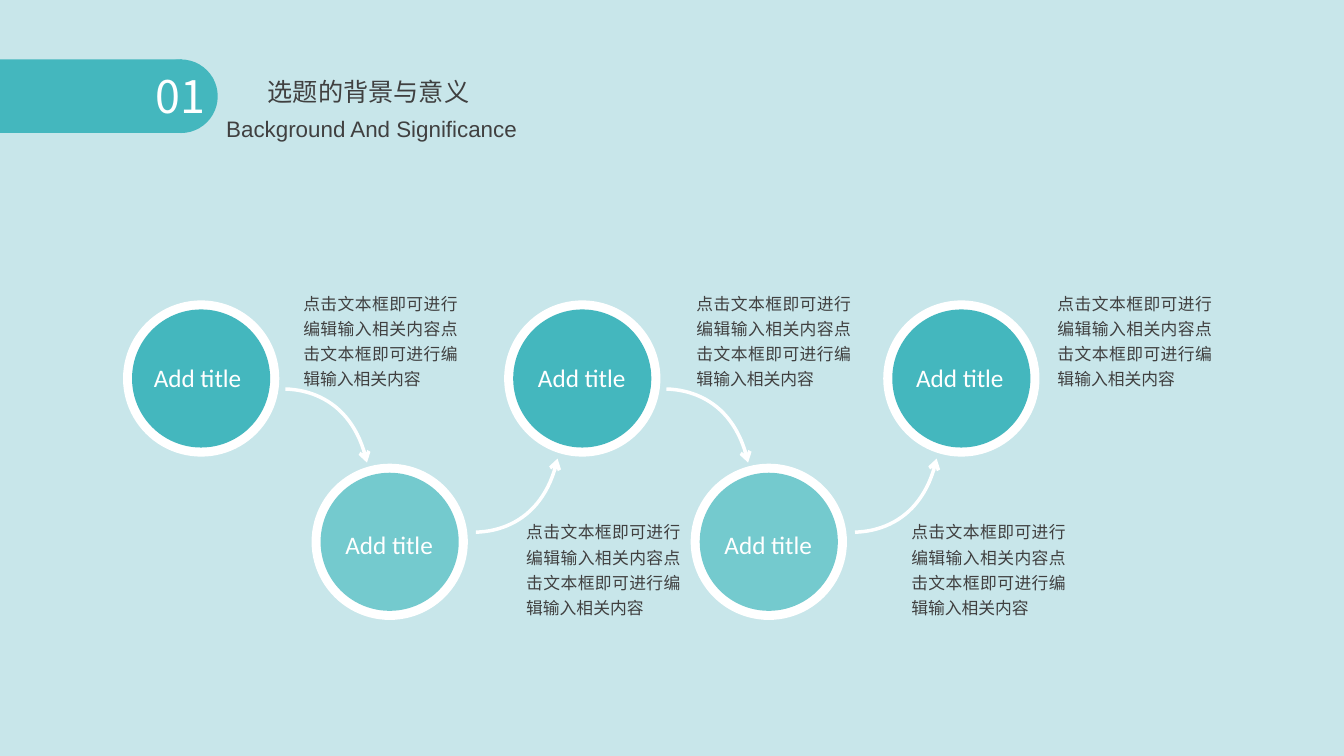
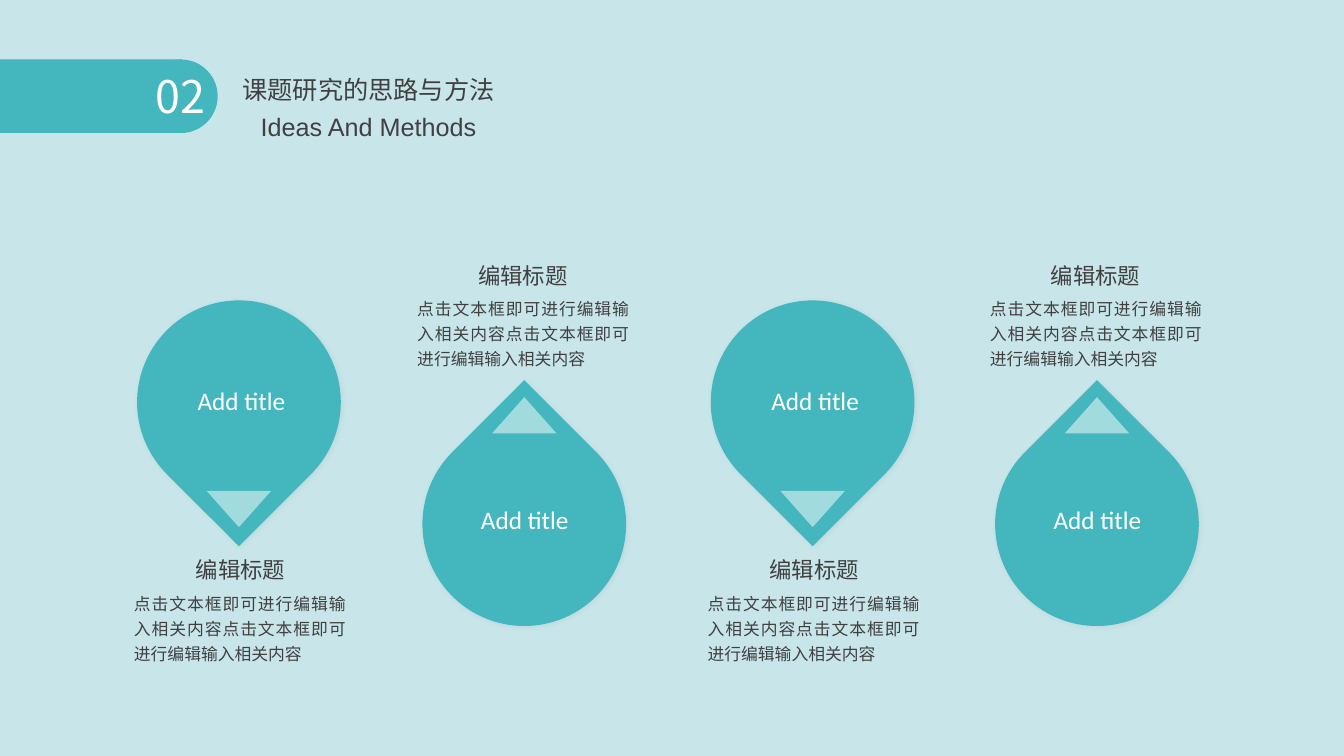
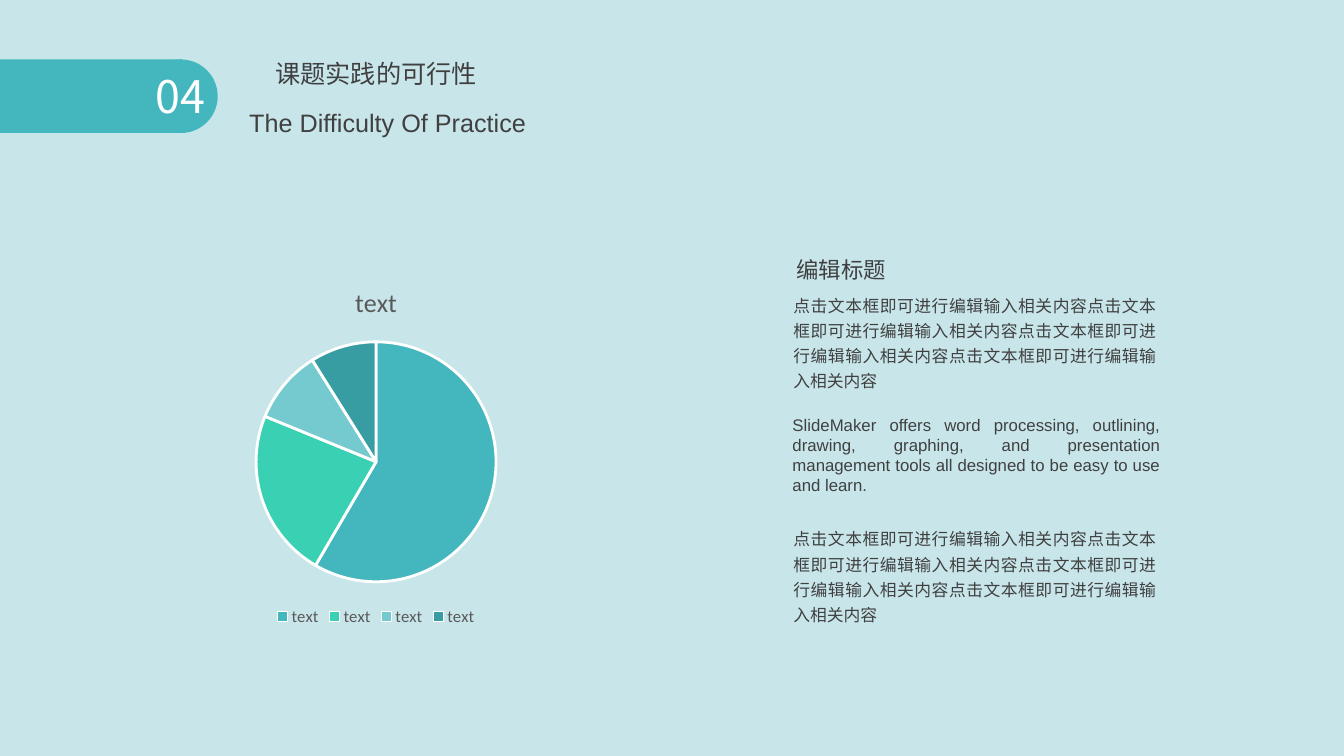
from dataclasses import dataclass

from lxml import etree
from pptx import Presentation
from pptx.chart.data import CategoryChartData
from pptx.dml.color import RGBColor
from pptx.enum.chart import XL_CHART_TYPE, XL_LEGEND_POSITION
from pptx.enum.shapes import MSO_SHAPE
from pptx.enum.text import MSO_ANCHOR, MSO_AUTO_SIZE, PP_ALIGN
from pptx.oxml.ns import qn
from pptx.util import Inches, Pt

RECTANGLE = MSO_SHAPE.RECTANGLE
OVAL = MSO_SHAPE.OVAL
TEARDROP = MSO_SHAPE.TEAR
MERGE = MSO_SHAPE.FLOWCHART_MERGE
LEFT, CENTER, JUSTIFY = PP_ALIGN.LEFT, PP_ALIGN.CENTER, PP_ALIGN.JUSTIFY
TOP = MSO_ANCHOR.TOP
NO_FIT = MSO_AUTO_SIZE.NONE
PIE = XL_CHART_TYPE.PIE
LEGEND_BOTTOM = XL_LEGEND_POSITION.BOTTOM
TITLE_ONLY = 5


@dataclass(frozen=True)
class Theme:
    """Colours, fonts and type sizes shared by the slides."""

    page: str = "C8E6EA"
    teal: str = "44B7BE"
    light_teal: str = "74CACE"
    green: str = "3AD0B3"
    dark_teal: str = "389DA2"
    white: str = "FFFFFF"
    ink: str = "404040"
    chart_ink: str = "595959"
    chinese: str = "Noto Sans CJK SC"
    english: str = "Arial"
    label: str = "Calibri"
    number_size: float = 32
    chart_title_size: float = 18.6
    title_size: float = 18
    heading_size: float = 16
    body_size: float = 12
    legend_size: float = 11.9


@dataclass(frozen=True)
class PinLayout:
    """Offsets of the parts of a pin from its drop."""

    top: float
    turn: int
    tip_top: float
    tip_turn: int
    label: tuple
    heading: tuple
    note: tuple


THEME = Theme()
PIN_DOWN = PinLayout(2.98, 135, 1.89, 0, (0.47, 0.79), (0.3, 2.49), (-0.13, 2.81))
PIN_UP = PinLayout(4.19, 315, -0.25, 180, (0.45, 0.76), (0.27, -1.64), (-0.15, -1.33))
SENTENCE = "点击文本框即可进行编辑输入相关内容"
HEADING = "编辑标题"
LABEL = "Add title"


def rgb(color):
    """Turn a hex string into a colour."""
    return RGBColor.from_string(color)


def inches(*lengths):
    """Turn numbers into lengths."""
    return [Inches(length) for length in lengths]


def write(frame, text, size=THEME.body_size, color=THEME.ink, font=THEME.chinese,
          align=LEFT, spacing=None, margin=None):
    """Write one formatted paragraph into a text frame."""
    paragraph = frame.paragraphs[0]
    paragraph.alignment = align
    if spacing:
        paragraph.line_spacing = spacing
    if margin is not None:
        frame.margin_left = frame.margin_right = margin
        frame.margin_top = frame.margin_bottom = margin
    run = paragraph.add_run()
    run.text = text
    run.font.size = Pt(size)
    run.font.bold = False
    run.font.color.rgb = rgb(color)
    run.font.name = font
    east_asian = etree.SubElement(run._r.get_or_add_rPr(), qn("a:ea"))
    east_asian.set("typeface", font)


def text_frame(slide, box):
    """Add a wrapping text box and return its frame."""
    frame = slide.shapes.add_textbox(*inches(*box)).text_frame
    frame.word_wrap = True
    return frame


def add_note(slide, box, repeats=2):
    """Add a justified paragraph of the sample sentence."""
    write(text_frame(slide, box), SENTENCE * repeats, align=JUSTIFY, spacing=1.25)


def add_label(slide, box):
    """Add the white label of a step or a pin."""
    write(text_frame(slide, box), LABEL, size=THEME.title_size, color=THEME.white,
          font=THEME.label, align=CENTER)


def add_solid(slide, preset, box, color, turn=0):
    """Add a filled shape without line or shadow."""
    solid = slide.shapes.add_shape(preset, *inches(*box))
    solid.shadow.inherit = False
    solid.fill.solid()
    solid.fill.fore_color.rgb = rgb(color)
    solid.line.fill.background()
    solid.rotation = turn
    return solid


def soften(solid, percent):
    """Make the fill of a shape partly transparent."""
    color = solid._element.spPr.find(".//" + qn("a:srgbClr"))
    etree.SubElement(color, qn("a:alpha")).set("val", str(percent * 1000))


def cast_shadow(solid):
    """Give a shape a faint shadow to the lower right."""
    effects = solid._element.spPr.find(qn("a:effectLst"))
    shadow = etree.SubElement(effects, qn("a:outerShdw"), blurRad=str(Pt(4)),
                              dist=str(Pt(1)), dir="2700000", algn="ctr", rotWithShape="0")
    color = etree.SubElement(shadow, qn("a:srgbClr"), val="000000")
    etree.SubElement(color, qn("a:alpha"), val="5000")


def add_header(slide, number, title, title_box, subtitle, subtitle_box,
               subtitle_size=THEME.title_size):
    """Add the numbered band, the title and its English line."""
    add_solid(slide, RECTANGLE, (0, 0.59, 1.81, 0.73), THEME.teal)
    add_solid(slide, OVAL, (1.43, 0.59, 0.73, 0.73), THEME.teal)
    write(text_frame(slide, (1.31, 0.63, 0.96, 0.64)), number, size=THEME.number_size,
          color=THEME.white, align=CENTER)
    heading = slide.shapes.title
    heading.left, heading.top, heading.width, heading.height = inches(*title_box)
    heading.text_frame.auto_size = NO_FIT
    heading.text_frame.vertical_anchor = TOP
    write(heading.text_frame, title, size=THEME.title_size, align=CENTER)
    write(text_frame(slide, subtitle_box), subtitle, size=subtitle_size,
          font=THEME.english, align=CENTER)


def add_step(slide, left, top, color, label_left, label_top, note_box):
    """Add a ringed disc with its label and note."""
    ring, rim = 1.55, 0.09
    disc = ring - 2 * rim
    add_solid(slide, OVAL, (left, top, ring, ring), THEME.white)
    add_solid(slide, OVAL, (left + rim, top + rim, disc, disc), color)
    add_label(slide, (label_left, label_top, 1.16, 0.4))
    add_note(slide, note_box)


def add_curved_arrow(slide, left, top, direction):
    """Draw a curve that leaves sideways and bends down (1) or up (-1)."""
    controls = ((0, 0), (0.36, 0.01), (0.7, 0.22), (0.81, 0.73))
    pieces = 24
    points = []
    for index in range(pieces + 1):
        t = index / pieces
        weights = ((1 - t) ** 3, 3 * t * (1 - t) ** 2, 3 * t * t * (1 - t), t ** 3)
        across = sum(w * x for w, (x, _) in zip(weights, controls))
        along = sum(w * y for w, (_, y) in zip(weights, controls))
        points.append(inches(left + across, top + direction * along))
    builder = slide.shapes.build_freeform(*points[0], scale=1.0)
    builder.add_line_segments(points[1:], close=False)
    curve = builder.convert_to_shape()
    curve.shadow.inherit = False
    curve.fill.background()
    curve.line.color.rgb = rgb(THEME.white)
    curve.line.width = Pt(2.5)
    etree.SubElement(curve.line._get_or_add_ln(), qn("a:tailEnd"), type="arrow")


def build_background(slide):
    """Fill the slide with five steps joined by curved arrows."""
    add_header(slide, "01", "选题的背景与意义", (0.91, 0.71, 5.49, 0.4),
               "Background And Significance", (0.94, 1.09, 5.49, 0.37), THEME.heading_size)
    steps = ((1.22, 1.38, 2.91), (3.09, 3.28, 5.12), (5, 5.19, 6.81),
             (6.85, 7.04, 8.94), (8.76, 8.94, 10.39))
    rows = ((2.98, THEME.teal, 3.55, 2.81), (4.6, THEME.light_teal, 5.2, 5.08))
    for index, (left, label_left, note_left) in enumerate(steps):
        top, color, label_top, note_top = rows[index % 2]
        add_step(slide, left, top, color, label_left, label_top,
                 (note_left, note_top, 1.73, 1.11))
    exits = ((1.61, 0.88, 1), (1.63, 0.68, -1))
    for index, (left, _, _) in enumerate(steps[:-1]):
        across, down, direction = exits[index % 2]
        add_curved_arrow(slide, left + across, rows[index % 2][0] + down, direction)


def add_pin(slide, left, layout):
    """Add a drop with its tip, label, heading and note."""
    def place(offset, width, height):
        """Return a box offset from the drop."""
        return left + offset[0], layout.top + offset[1], width, height

    drop = add_solid(slide, TEARDROP, place((0, 0), 2.02, 2.02), THEME.teal, layout.turn)
    cast_shadow(drop)
    tip = add_solid(slide, MERGE, place((0.69, layout.tip_top), 0.64, 0.36),
                    THEME.white, layout.tip_turn)
    soften(tip, 50)
    add_label(slide, place(layout.label, 1.13, 0.39))
    write(text_frame(slide, place(layout.heading, 1.45, 0.36)), HEADING,
          size=THEME.heading_size, align=CENTER)
    add_note(slide, place(layout.note, 2.3, 0.86))


def build_methods(slide):
    """Fill the slide with four pins pointing down and up in turn."""
    add_header(slide, "02", "课题研究的思路与方法", (0.91, 0.69, 5.49, 0.4),
               "Ideas And Methods", (0.91, 1.06, 5.49, 0.4))
    for index, left in enumerate((1.36, 4.19, 7.05, 9.87)):
        add_pin(slide, left, (PIN_DOWN, PIN_UP)[index % 2])


def add_share_pie(slide, box):
    """Add the pie chart with its title and legend."""
    shares = CategoryChartData()
    shares.categories = ["text"] * 4
    shares.add_series("text", (59, 23, 10, 9))
    chart = slide.shapes.add_chart(PIE, *inches(*box), shares).chart
    chart.font.name = THEME.label
    chart.has_title = True
    write(chart.chart_title.text_frame, "text", size=THEME.chart_title_size,
          color=THEME.chart_ink, font=THEME.label, align=CENTER)
    chart.has_legend = True
    legend = chart.legend
    legend.position = LEGEND_BOTTOM
    legend.include_in_layout = False
    legend.font.size = Pt(THEME.legend_size)
    legend.font.name = THEME.label
    legend.font.color.rgb = rgb(THEME.chart_ink)
    plot = chart.plots[0]
    plot.vary_by_categories = True
    colors = (THEME.teal, THEME.green, THEME.light_teal, THEME.dark_teal)
    for index, color in enumerate(colors):
        share = plot.series[0].points[index].format
        share.fill.solid()
        share.fill.fore_color.rgb = rgb(color)
        share.line.color.rgb = rgb(THEME.white)
        share.line.width = Pt(2)


def add_article(slide, left, top):
    """Add the heading and its three paragraphs."""
    write(text_frame(slide, (left + 0.03, top, 1.49, 0.37)), HEADING,
          size=THEME.heading_size)
    for offset in (0.34, 2.66):
        add_note(slide, (left, top + offset, 3.8, 1.11), repeats=4)
    write(text_frame(slide, (left + 0.09, top + 1.62, 3.65, 0.81)),
          "SlideMaker offers word processing, outlining, drawing, graphing, and presentation "
          "management tools all designed to be easy to use and learn.",
          font=THEME.english, align=JUSTIFY, margin=0)


def build_practice(slide):
    """Fill the slide with the pie chart and the article."""
    add_header(slide, "04", "课题实践的可行性", (1.02, 0.53, 5.42, 0.4),
               "The Difficulty Of Practice", (1.1, 1.02, 5.49, 0.4))
    add_share_pie(slide, (1.02, 2.65, 5.42, 3.61))
    add_article(slide, 7.77, 2.49)


def main():
    """Build the three slides and save them."""
    deck = Presentation()
    deck.slide_width, deck.slide_height = inches(13.33, 7.5)
    page = deck.slide_master.background.fill
    page.solid()
    page.fore_color.rgb = rgb(THEME.page)
    for build in (build_background, build_methods, build_practice):
        build(deck.slides.add_slide(deck.slide_layouts[TITLE_ONLY]))
    deck.save("out.pptx")


if __name__ == "__main__":
    main()
